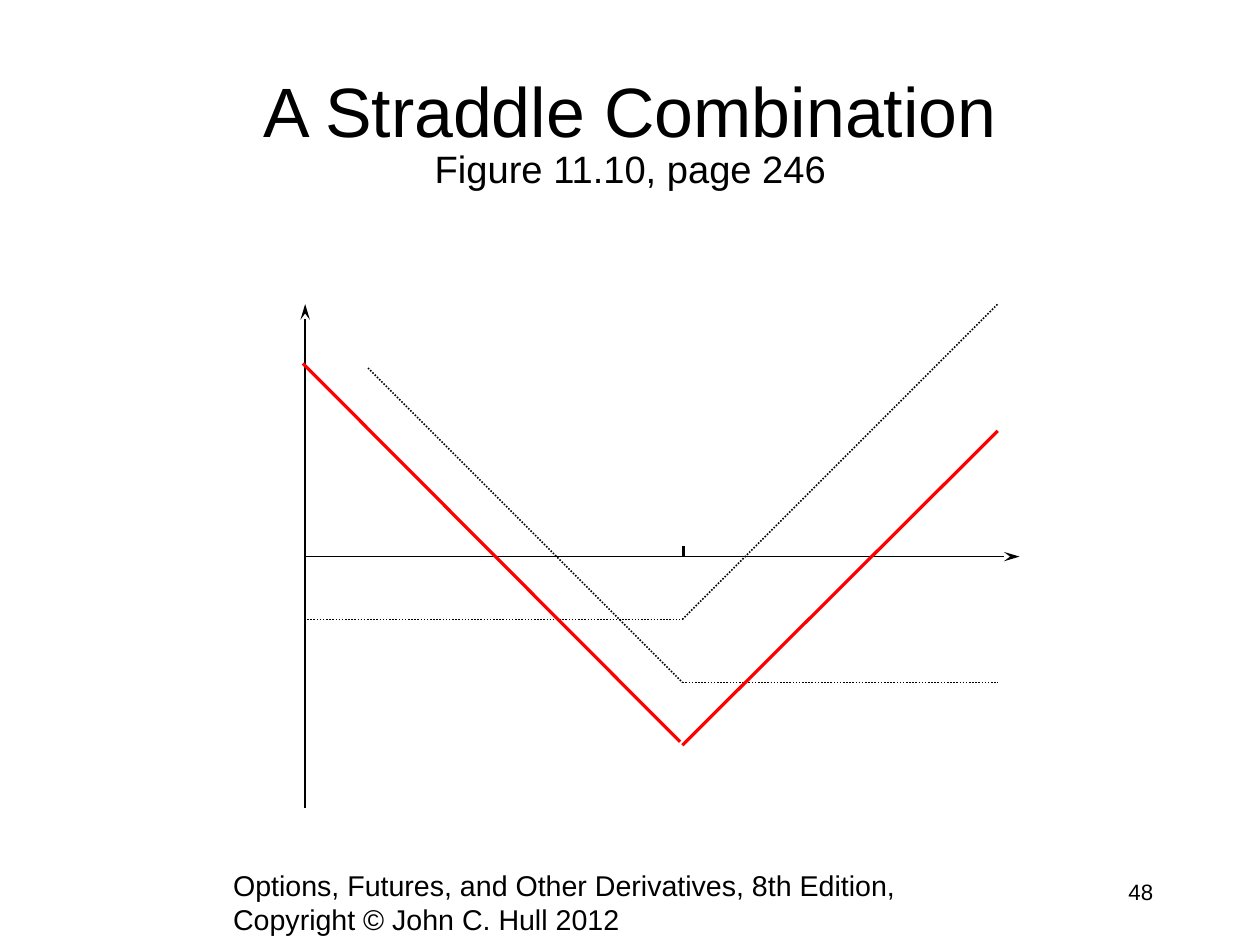
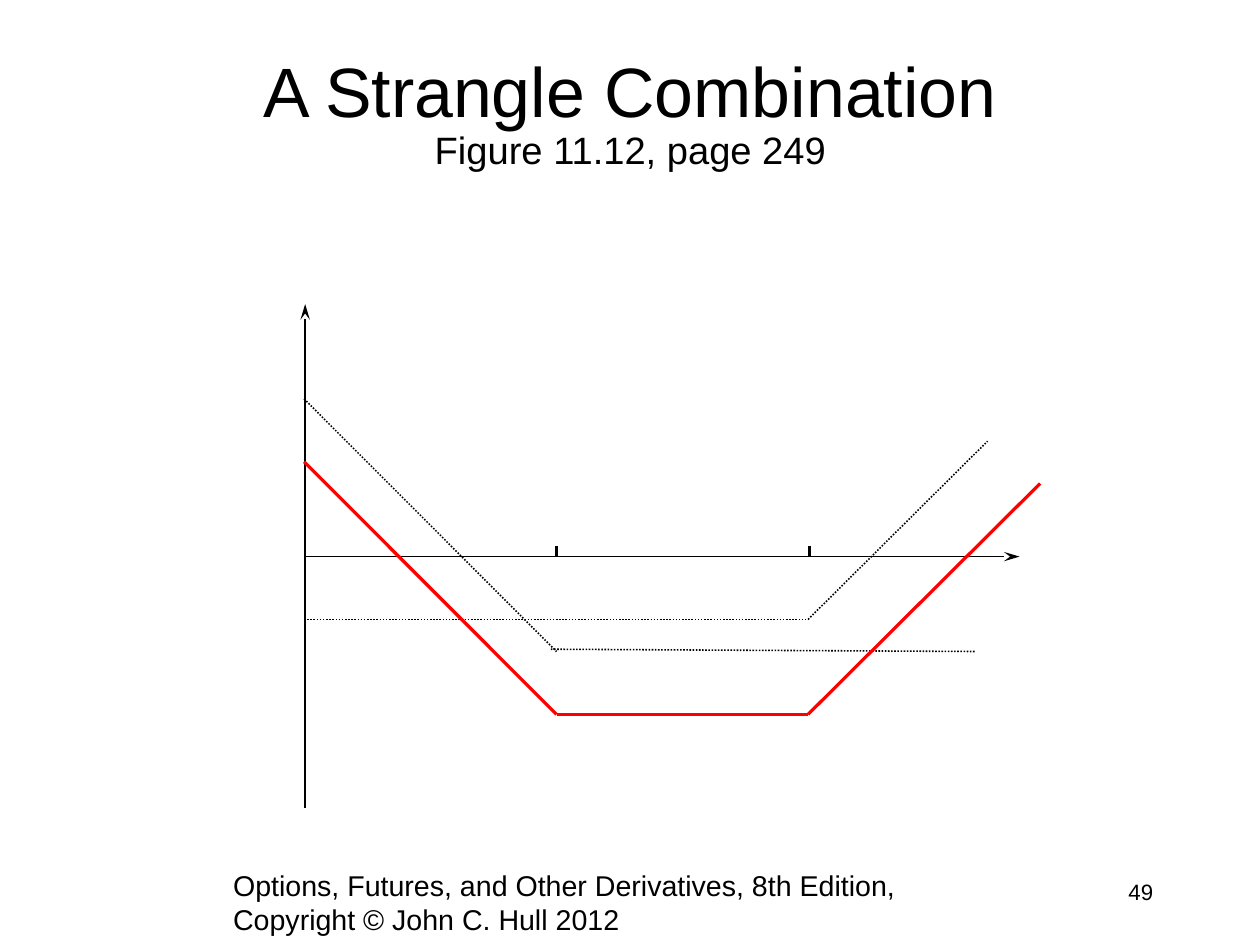
from itertools import pairwise

from lxml import etree
from pptx import Presentation
from pptx.dml.color import RGBColor
from pptx.enum.dml import MSO_LINE
from pptx.enum.shapes import MSO_CONNECTOR
from pptx.enum.text import MSO_ANCHOR, MSO_AUTO_SIZE, PP_ALIGN
from pptx.oxml.ns import qn
from pptx.util import Inches, Pt

BLACK = RGBColor(0x00, 0x00, 0x00)
RED = RGBColor(0xFF, 0x00, 0x00)
FONT = "Arial"
STRAIGHT = MSO_CONNECTOR.STRAIGHT
DOTTED = MSO_LINE.ROUND_DOT
LEFT, CENTER, RIGHT = PP_ALIGN.LEFT, PP_ALIGN.CENTER, PP_ALIGN.RIGHT
TITLE_ONLY = 5
CM_PER_INCH = 2.54

FOOTER = "Options, Futures, and Other Derivatives, 8th Edition, Copyright © John C. Hull 2012"
ORIGIN_X, AXIS_Y = 2.67, 4.87
AXIS_TOP, AXIS_BOTTOM, AXIS_RIGHT = 2.66, 7.07, 8.92
TICK_HEIGHT = 0.09

# Each payoff is a chain of points; options are dotted, the combination is red.
SLIDES = [
    {
        "title": "A Straddle Combination",
        "figure": "Figure 11.10, page 246",
        "title_top": 0.3,
        "number": "48",
        "strikes": [5.98],
        "options": [
            [(2.66, 5.42), (5.97, 5.42), (8.73, 2.66)],
            [(3.22, 3.22), (5.97, 5.97), (8.73, 5.97)],
        ],
        "combination": [
            [(5.97, 6.52), (8.73, 3.77)],
            [(2.65, 3.18), (5.95, 6.49)],
        ],
    },
    {
        "title": "A Strangle Combination",
        "figure": "Figure 11.12, page 249",
        "title_top": 0.13,
        "number": "49",
        "strikes": [4.87, 7.08],
        "options": [
            [(4.82, 5.68), (8.54, 5.7)],
            [(2.66, 3.49), (4.87, 5.7)],
            [(2.66, 5.42), (7.07, 5.42), (8.64, 3.86)],
        ],
        "combination": [[(2.66, 4.04), (4.87, 6.25), (7.07, 6.25), (9.1, 4.23)]],
    },
]


def add_line(page, start, end, color=BLACK, width=1, dash=None, arrow=False):
    line = page.shapes.add_connector(STRAIGHT, *map(Inches, (*start, *end)))
    line.line.color.rgb = color
    line.line.width = Pt(width)
    if dash is not None:
        line.line.dash_style = dash
    properties = line._element.spPr
    if arrow:
        outline = properties.find(qn("a:ln"))
        etree.SubElement(outline, qn("a:tailEnd"), type="stealth", w="med", len="lg")
    etree.SubElement(properties, qn("a:effectLst"))


def format_text(shape, sizes, align):
    """Style the single paragraph of a shape, with one size for each run."""
    frame = shape.text_frame
    frame.word_wrap = True
    frame.auto_size = MSO_AUTO_SIZE.NONE
    frame.margin_left = frame.margin_right = Inches(0.11)
    frame.margin_top = frame.margin_bottom = Inches(0.06)
    para = frame.paragraphs[0]
    para.alignment = align
    for span, size in zip(para.runs, sizes):
        span.font.name = FONT
        span.font.size = Pt(size)
        span.font.color.rgb = BLACK


deck = Presentation()
deck.slide_width = Inches(28 / CM_PER_INCH)
deck.slide_height = Inches(21 / CM_PER_INCH)

for content in SLIDES:
    page = deck.slides.add_slide(deck.slide_layouts[TITLE_ONLY])

    title = page.shapes.title
    title.left, title.top = Inches(0.83), Inches(content["title_top"])
    title.width, title.height = Inches(9.37), Inches(1.77)
    title.text_frame.text = content["title"] + "\v" + content["figure"]
    title.text_frame.vertical_anchor = MSO_ANCHOR.MIDDLE
    title.text_frame.paragraphs[0].line_spacing = 0.87
    format_text(title, [44, 24], CENTER)

    for text, place, size, align in [
        (FOOTER, (1.93, 7.53, 6.06, 0.55), 18, LEFT),
        (content["number"], (7.9, 7.62, 2.3, 0.55), 14, RIGHT),
    ]:
        box = page.shapes.add_textbox(*map(Inches, place))
        box.text_frame.text = text
        format_text(box, [size], align)

    add_line(page, (ORIGIN_X, AXIS_BOTTOM), (ORIGIN_X, AXIS_TOP), arrow=True)
    add_line(page, (ORIGIN_X, AXIS_Y), (AXIS_RIGHT, AXIS_Y), arrow=True)
    for strike in content["strikes"]:
        add_line(page, (strike, AXIS_Y), (strike, AXIS_Y - TICK_HEIGHT), width=2)

    for points in content["options"]:
        for start, end in pairwise(points):
            add_line(page, start, end, dash=DOTTED)
    for points in content["combination"]:
        for start, end in pairwise(points):
            add_line(page, start, end, RED, width=2)

deck.save("out.pptx")
